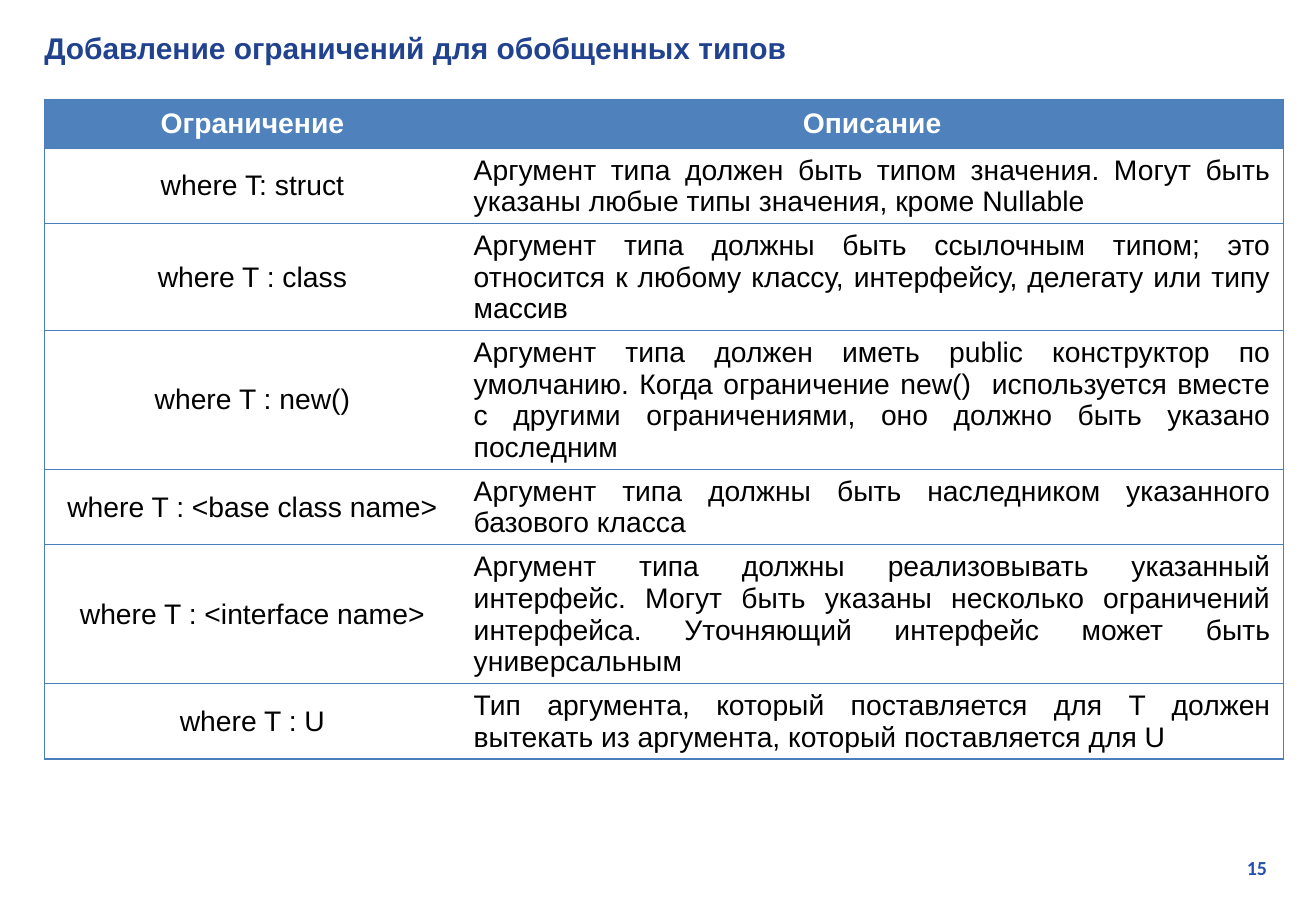
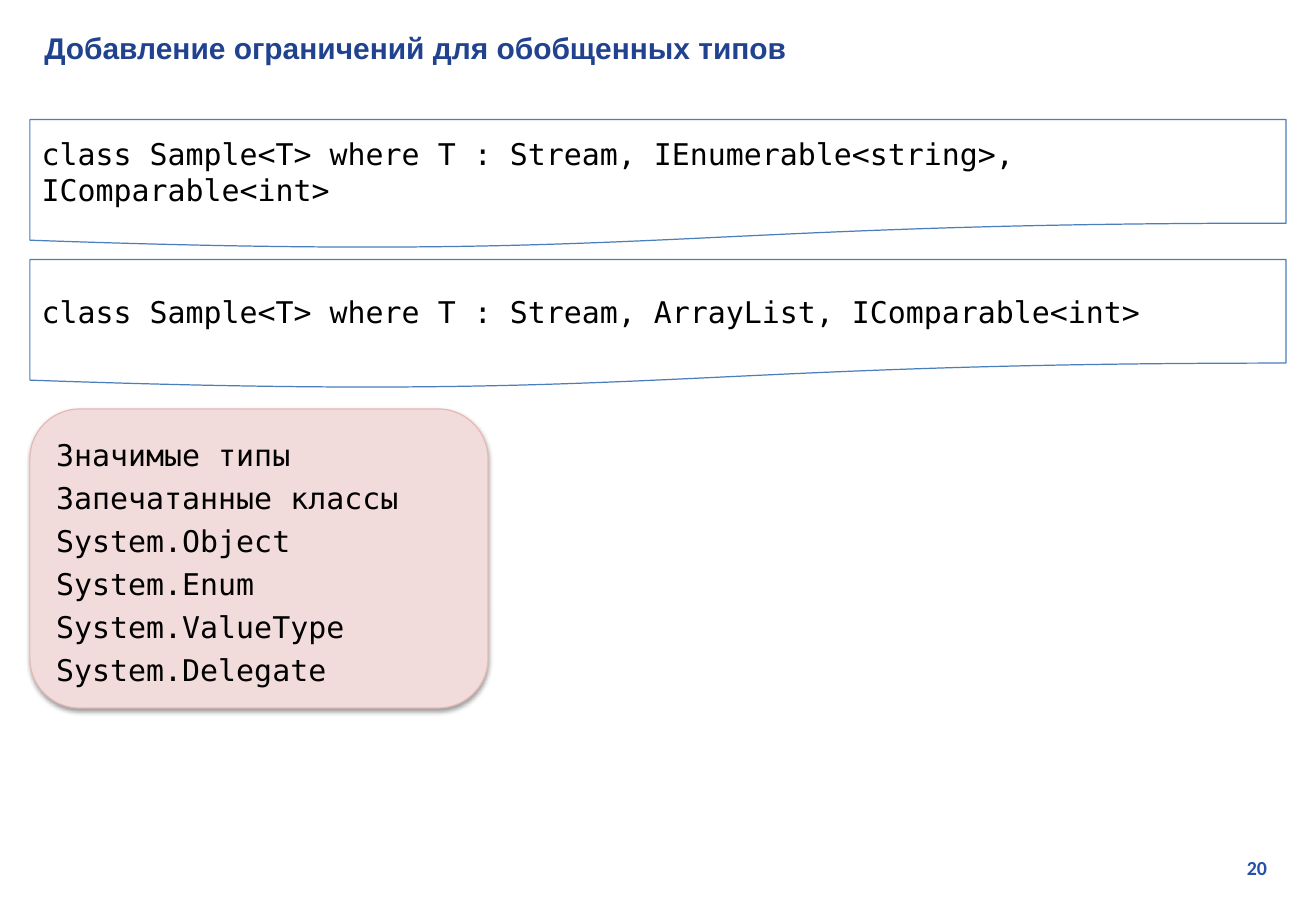
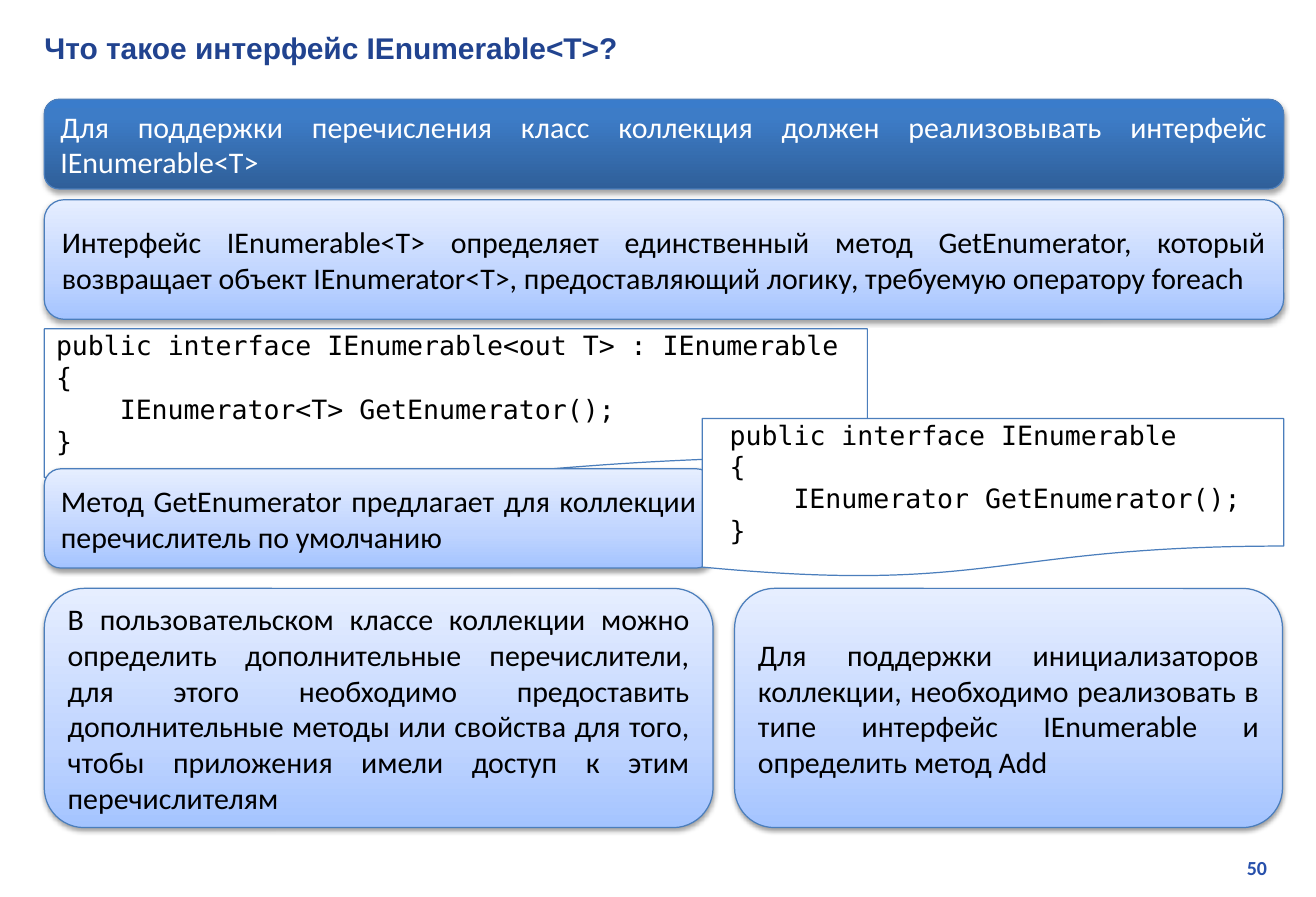
from pptx import Presentation
from pptx.dml.color import RGBColor as RGB
from pptx.enum.shapes import MSO_SHAPE as Form
from pptx.enum.text import MSO_ANCHOR as Anchor, MSO_AUTO_SIZE as Auto, PP_ALIGN as Align
from pptx.oxml import parse_xml
from pptx.oxml.ns import nsdecls, qn
from pptx.util import Inches, Pt

HUE = {"title": "21438F", "page": "2750AB", "line": "4B7EBC", "head": "4F81BD",
       "pink": "F2DCDB", "rose": "E6B9B8", "white": "FFFFFF", "black": "000000"}
DARK = [(0, "2F5F99"), (80, "3D7CC7"), (100, "3A7CCB")]
PALE = [(0, "A4C4FF"), (35, "BFD4FF"), (100, "E6EEFF")]
MONO = "DejaVu Sans Mono"
LEFT, WIDE = 0.37, 10.36
NS = nsdecls("a")


def write(frame, lines, font, size, hue="black", bold=False, align=Align.LEFT, space=None):
    """Fill a text frame, one paragraph a line; a leading tab indents four characters."""
    frame.word_wrap = True
    frame.auto_size = Auto.NONE
    frame.vertical_anchor = Anchor.MIDDLE
    for i, line in enumerate(lines):
        para = frame.add_paragraph() if i else frame.paragraphs[0]
        para.alignment = align
        if space:
            para.line_spacing = space
        if line.startswith("\t"):
            para._p.get_or_add_pPr().set("marL", str(Pt(4 * 0.6 * size)))
        run = para.add_run()
        run.text = line.lstrip("\t")
        run.font.name = font
        run.font.size = Pt(size)
        run.font.bold = bold
        run.font.color.rgb = RGB.from_string(HUE[hue])


def block(slide, form, at, fill, line="line", glow=0):
    """Add a shape; fill is a colour name or gradient stops, glow the shadow opacity in percent."""
    shape = slide.shapes.add_shape(form, *map(Inches, at))
    if isinstance(fill, str):
        shape.fill.solid()
        shape.fill.fore_color.rgb = RGB.from_string(HUE[fill])
    else:
        stops = "".join(f'<a:gs pos="{pos * 1000}"><a:srgbClr val="{hue}"/></a:gs>'
                        for pos, hue in fill)
        geom = shape._element.spPr.find(qn("a:prstGeom"))
        geom.addnext(parse_xml(f'<a:gradFill {NS} rotWithShape="1"><a:gsLst>{stops}</a:gsLst>'
                               '<a:lin ang="16200000" scaled="0"/></a:gradFill>'))
    shape.line.color.rgb = RGB.from_string(HUE[line])
    shape.line.width = Pt(0.75)
    shape.shadow.inherit = False
    if glow:
        shape._element.spPr.find(qn("a:effectLst")).append(parse_xml(
            f'<a:outerShdw {NS} blurRad="{Pt(3.1)}" dist="{Pt(1.6)}" dir="5400000" '
            f'rotWithShape="0"><a:srgbClr val="{HUE["black"]}">'
            f'<a:alpha val="{glow * 1000}"/></a:srgbClr></a:outerShdw>'))
    return shape


deck = Presentation()
deck.slide_width, deck.slide_height = Inches(11), Inches(7.5)

# Titles and page numbers
limits = "Добавление ограничений для обобщенных типов"
slides = []
for name, page in [(limits, "15"), (limits, "20"), ("Что такое интерфейс IEnumerable<T>?", "50")]:
    slide = deck.slides.add_slide(deck.slide_layouts[5])
    title = slide.shapes.title
    title.left, title.top, title.width, title.height = map(Inches, (0.27, 0.2, 10.5, 0.4))
    write(title.text_frame, [name], "Arial", 18, "title", True)
    foot = slide.shapes.add_textbox(*map(Inches, (8.36, 7.1, 2.33, 0.3)))
    write(foot.text_frame, [page], "Calibri", 12, "page", True, Align.RIGHT)
    slides.append(slide)
rules, mixes, enum = slides

# Table of constraints
rows = [
    ("Ограничение", "Описание"),
    ("where T: struct", "Аргумент типа должен быть типом значения. Могут быть указаны любые типы "
     "значения, кроме Nullable"),
    ("where T : class", "Аргумент типа должны быть ссылочным типом; это относится к любому классу, "
     "интерфейсу, делегату или типу массив"),
    ("where T : new()", "Аргумент типа должен иметь public конструктор по умолчанию. Когда "
     "ограничение new()  используется вместе с другими ограничениями, оно должно быть указано "
     "последним"),
    ("where T : <base class name>", "Аргумент типа должны быть наследником указанного базового "
     "класса"),
    ("where T : <interface name>", "Аргумент типа должны реализовывать указанный интерфейс. Могут "
     "быть указаны несколько ограничений интерфейса. Уточняющий интерфейс может быть "
     "универсальным"),
    ("where T : U", "Тип аргумента, который поставляется для T должен вытекать из аргумента, "
     "который поставляется для U"),
]
grid = rules.shapes.add_table(len(rows), 2, *map(Inches, (LEFT, 0.83, WIDE, 4.97)))
table = grid.table
table._tbl.tblPr.find(qn("a:tableStyleId")).text = "{2D5ABB26-0587-4C30-8999-92F81FD0307C}"
table.horz_banding = False
for col, width in zip(table.columns, (3.48, 6.88)):
    col.width = Inches(width)
for r, row in enumerate(rows):
    table.rows[r].height = Inches(0.41)
    for c, text in enumerate(row):
        cell = table.cell(r, c)
        for side in ("lnR" if c else "lnL", "lnT", "lnB"):
            cell._tc.get_or_add_tcPr().append(parse_xml(
                f'<a:{side} {NS} w="{Pt(0.75)}"><a:solidFill>'
                f'<a:srgbClr val="{HUE["line"]}"/></a:solidFill></a:{side}>'))
        cell.fill.solid()
        cell.fill.fore_color.rgb = RGB.from_string(HUE["white" if r else "head"])
        cell.margin_left = cell.margin_right = Inches(0.11)
        cell.vertical_anchor = Anchor.MIDDLE
        write(cell.text_frame, [text], "Arial", 17, "black" if r else "white", not r,
              Align.JUSTIFY if r and c else Align.CENTER)
        cell.vertical_anchor = Anchor.MIDDLE
grid.height = Inches(4.97)

# Combined constraints
codes = ["class Sample<T> where T : Stream, IEnumerable<string>, IComparable<int>",
         "class Sample<T> where T : Stream, ArrayList, IComparable<int>"]
for i, code in enumerate(codes):
    sheet = block(mixes, Form.FLOWCHART_DOCUMENT, (0.25, 1 + 1.17 * i, 10.5, 1.08), "white")
    write(sheet.text_frame, [code], MONO, 18)
banned = block(mixes, Form.ROUNDED_RECTANGLE, (0.25, 3.42, 3.83, 2.5), "pink", "rose", 38)
write(banned.text_frame, ["Значимые типы", "Запечатанные классы", "System.Object", "System.Enum",
                          "System.ValueType", "System.Delegate"], MONO, 18, space=1.2)

# Interface notes, with the code sheets between and over them
notes = [
    ((LEFT, 0.83, WIDE, 0.75), DARK, "white", 35,
     "Для поддержки перечисления класс коллекция должен реализовывать интерфейс IEnumerable<T>"),
    ((LEFT, 1.67, WIDE, 1), PALE, "black", 38,
     "Интерфейс IEnumerable<T> определяет единственный метод GetEnumerator, который возвращает "
     "объект IEnumerator<T>, предоставляющий логику, требуемую оператору foreach"),
    ((LEFT, 3.92, 5.59, 0.83), PALE, "black", 38,
     "Метод GetEnumerator предлагает для коллекции перечислитель по умолчанию"),
    ((LEFT, 4.92, 5.59, 2), PALE, "black", 38,
     "В пользовательском классе коллекции можно определить дополнительные перечислители, для "
     "этого необходимо предоставить дополнительные методы или свойства для того, чтобы "
     "приложения имели доступ к этим перечислителям"),
    ((6.14, 4.92, 4.58, 2), PALE, "black", 38,
     "Для поддержки инициализаторов коллекции, необходимо реализовать в типе интерфейс "
     "IEnumerable и определить метод Add"),
]
sheets = {
    2: ((LEFT, 2.75, 6.88, 1.33), 0.1, ["public interface IEnumerable<out T> : IEnumerable", "{",
                                        "\tIEnumerator<T> GetEnumerator();", "}"]),
    5: ((5.87, 3.5, 4.86, 1.33), 0.23, ["public interface IEnumerable", "{",
                                        "\tIEnumerator GetEnumerator();", "}"]),
}
for i in range(len(notes) + 1):
    if i in sheets:
        at, inset, code = sheets[i]
        sheet = block(enum, Form.FLOWCHART_DOCUMENT, at, "white")
        sheet.text_frame.margin_left = Inches(inset)
        write(sheet.text_frame, code, MONO, 16)
    if i < len(notes):
        at, fill, hue, glow, text = notes[i]
        note = block(enum, Form.ROUNDED_RECTANGLE, at, fill, glow=glow)
        write(note.text_frame, [text], "Calibri", 18, hue, align=Align.JUSTIFY)

deck.save("out.pptx")
